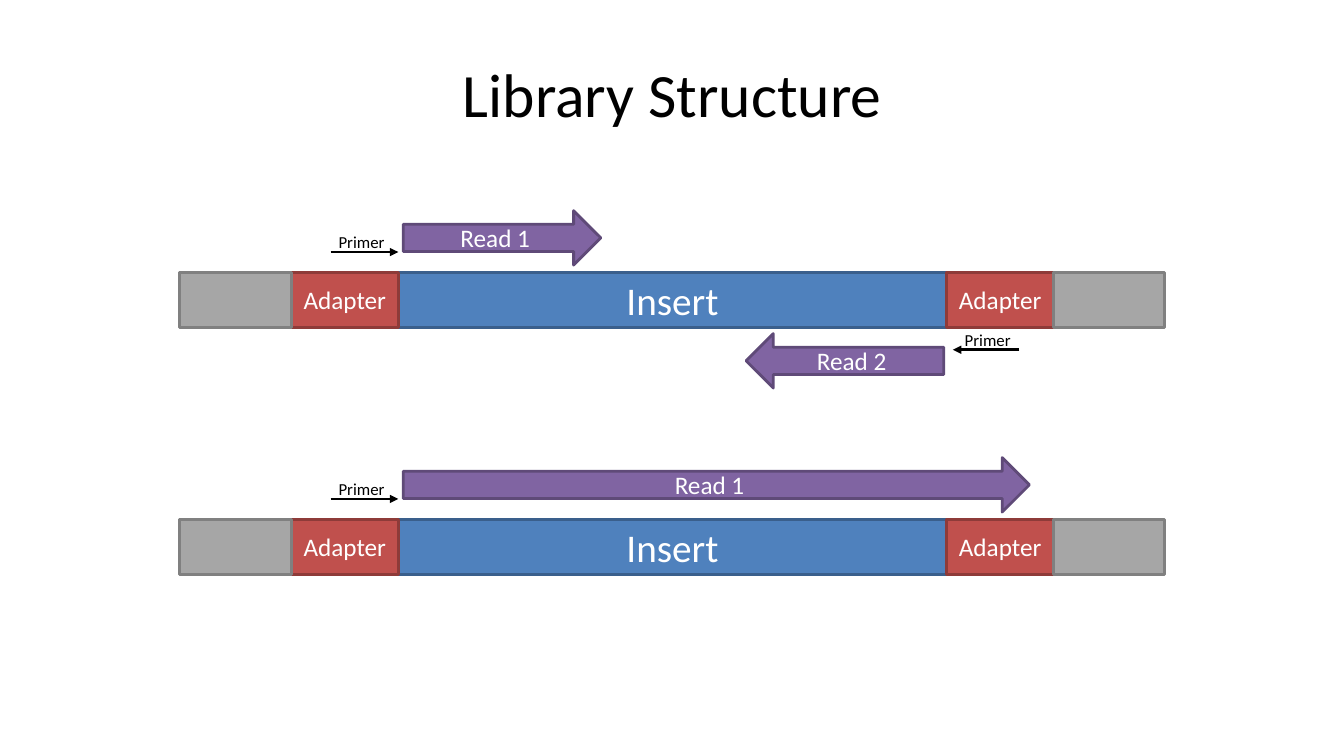
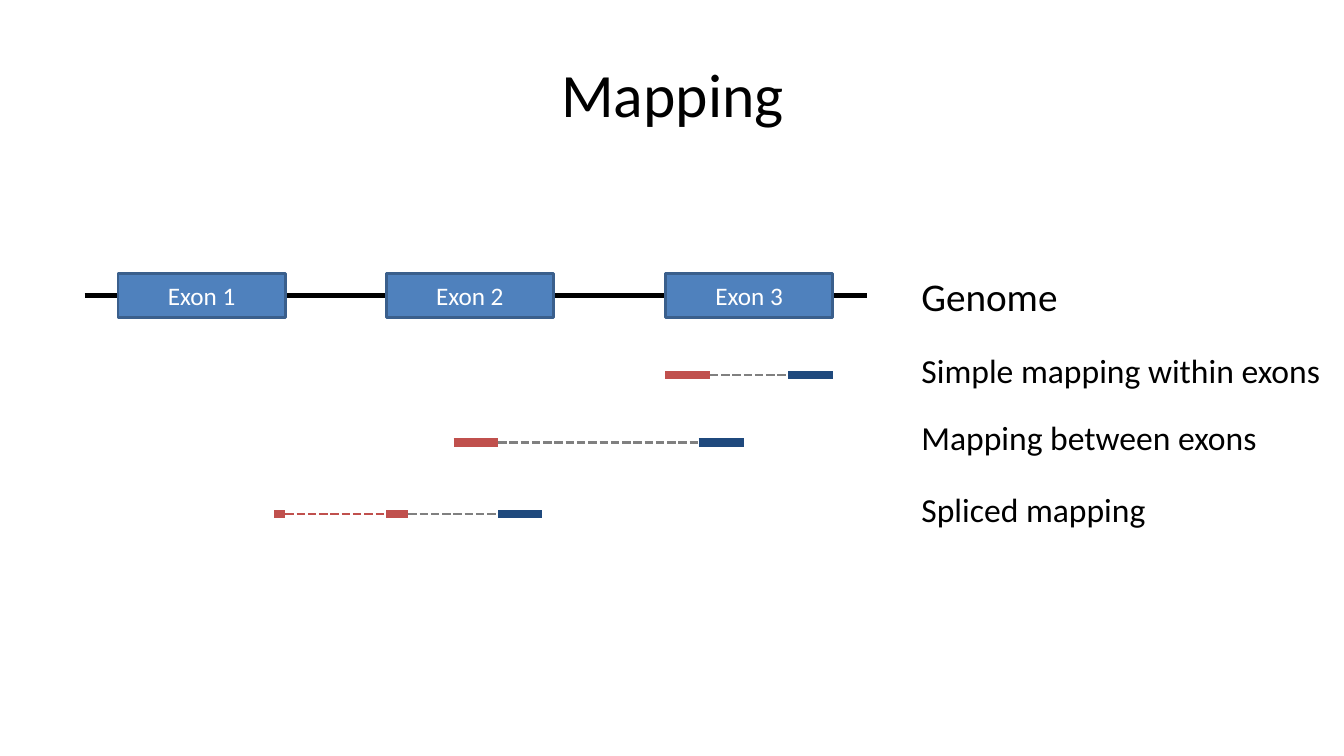
from lxml import etree
from pptx import Presentation
from pptx.dml.color import RGBColor
from pptx.enum import dml, shapes, text
from pptx.oxml import ns
from pptx.util import Inches, Pt

FONT = "Calibri"
BLACK, WHITE, GREY = "000000", "FFFFFF", "808080"
RED, NAVY = "C0504D", "1F497D"
# fill and outline of each kind of block
BLUE_BOX = ("4F81BD", "3A5F8C")
RED_BOX = (RED, "8E3B39")
GREY_BOX = ("A6A6A6", GREY)
READ_BOX = ("8064A2", "5F4A78")
RECT = shapes.MSO_SHAPE.RECTANGLE
RIGHT = shapes.MSO_SHAPE.RIGHT_ARROW
LEFT = shapes.MSO_SHAPE.LEFT_ARROW
rgb = RGBColor.from_string


def block(slide, at, words="", size=18, kind=None, paint=None):
    """Add a filled shape with centred text, or a plain label if kind is None."""
    at = [Inches(v) for v in at]
    if kind is None:
        item = slide.shapes.add_textbox(*at)
    else:
        item = slide.shapes.add_shape(kind, *at)
        item.shadow.inherit = False
        item.fill.solid()
        item.fill.fore_color.rgb = rgb(paint[0])
        item.line.color.rgb = rgb(paint[1])
        item.line.width = Pt(2)
    frame = item.text_frame
    frame.word_wrap = kind is not None
    if words:
        para = frame.paragraphs[0]
        run = para.add_run()
        run.text = words
        run.font.name = FONT
        run.font.size = Pt(size)
        run.font.color.rgb = rgb(BLACK if kind is None else WHITE)
        if kind is not None:
            para.alignment = text.PP_ALIGN.CENTER
            frame.vertical_anchor = text.MSO_ANCHOR.MIDDLE
    return item


def rule(slide, start, end, y, color, width=2, dash=False, arrow=False):
    """Add a level line from start to end."""
    item = slide.shapes.add_connector(
        shapes.MSO_CONNECTOR.STRAIGHT,
        Inches(start), Inches(y), Inches(end), Inches(y))
    item.line.color.rgb = rgb(color)
    item.line.width = Pt(width)
    if dash:
        item.line.dash_style = dml.MSO_LINE.SQUARE_DOT
    props = item._element.spPr
    if arrow:
        tail = etree.SubElement(props.find(ns.qn("a:ln")), ns.qn("a:tailEnd"))
        tail.set("type", "triangle")
    etree.SubElement(props, ns.qn("a:effectLst"))


deck = Presentation()
deck.slide_width, deck.slide_height = Inches(13.33), Inches(7.5)
pages = []
for name in ("Library Structure", "Mapping"):
    page = deck.slides.add_slide(deck.slide_layouts[6])
    title = block(page, (0.67, 0.3, 12, 1.25), name, 44)
    title.text_frame.word_wrap = True
    title.text_frame.vertical_anchor = text.MSO_ANCHOR.MIDDLE
    title.text_frame.paragraphs[0].alignment = text.PP_ALIGN.CENTER
    pages.append(page)
library, mapping = pages

# Library structure: one strand per read length
PARTS = [
    (3.95, 9.39, "Insert", 28, BLUE_BOX),
    (2.89, 3.95, "Adapter", 18, RED_BOX),
    (1.78, 2.89, "", 18, GREY_BOX),
    (9.39, 10.45, "Adapter", 18, RED_BOX),
    (10.45, 11.55, "", 18, GREY_BOX),
]
for top, reach in ((2.7, 1.96), (5.15, 6.21)):
    for left, right, words, size, paint in PARTS:
        block(library, (left, top, right - left, 0.55), words, size, RECT, paint)
    rule(library, 3.28, 3.95, top - 0.2, BLACK, arrow=True)
    block(library, (3.26, top - 0.45, 0.66, 0.3), "Primer", 12)
    block(library, (4, top - 0.61, reach, 0.54), "Read 1", 18, RIGHT, READ_BOX)

# Reverse read below the first strand
rule(library, 10.11, 9.45, 3.47, BLACK, arrow=True)
block(library, (9.47, 3.22, 0.66, 0.3), "Primer", 12)
block(library, (7.4, 3.31, 1.96, 0.54), "Read 2", 18, LEFT, READ_BOX)

# Mapping: genome with its exons
rule(mapping, 0.84, 8.6, 2.93, BLACK, 4)
for num, left in enumerate((1.17, 3.83, 6.6), 1):
    block(mapping, (left, 2.71, 1.66, 0.44), f"Exon {num}", 18, RECT, BLUE_BOX)
block(mapping, (9.04, 2.65, 1.57, 0.57), "Genome", 28)

# Read pairs: label, its width, height of the row, red pieces, blue piece
PAIRS = [
    ("Simple mapping within exons", 4.19, 3.72, [(6.6, 7.04)], (7.82, 8.26)),
    ("Mapping between exons", 3.56, 4.39, [(4.5, 4.94)], (6.93, 7.38)),
    ("Spliced mapping", 2.45, 5.1, [(2.72, 2.83), (3.83, 4.05)], (4.94, 5.38)),
]
for words, width, y, reds, blue in PAIRS:
    for before, after in zip(reds, reds[1:]):
        rule(mapping, before[1], after[0], y, RED, dash=True)
    rule(mapping, reds[-1][1], blue[0], y, GREY, dash=True)
    for start, end in reds:
        rule(mapping, start, end, y, RED, 6)
    rule(mapping, *blue, y, NAVY, 6)
    block(mapping, (9.04, y - 0.3, width, 0.5), words, 24)

deck.save("out.pptx")
